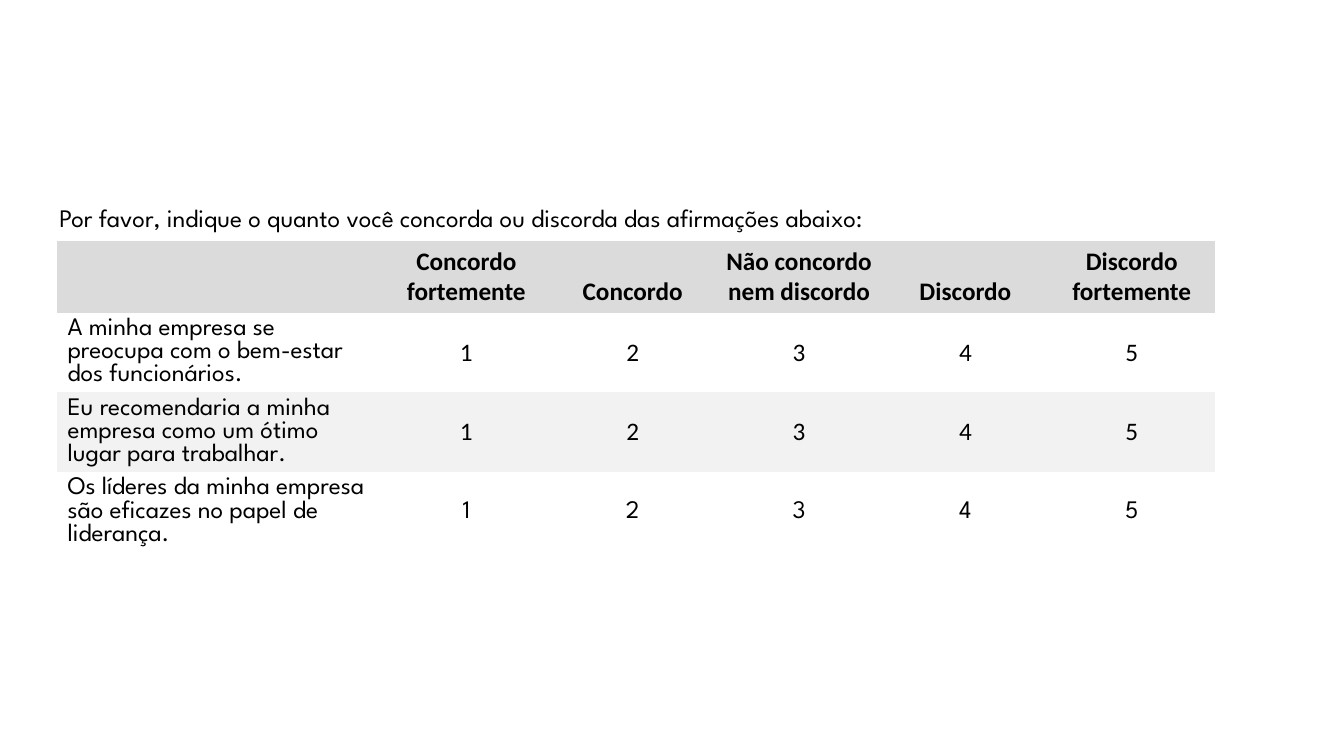
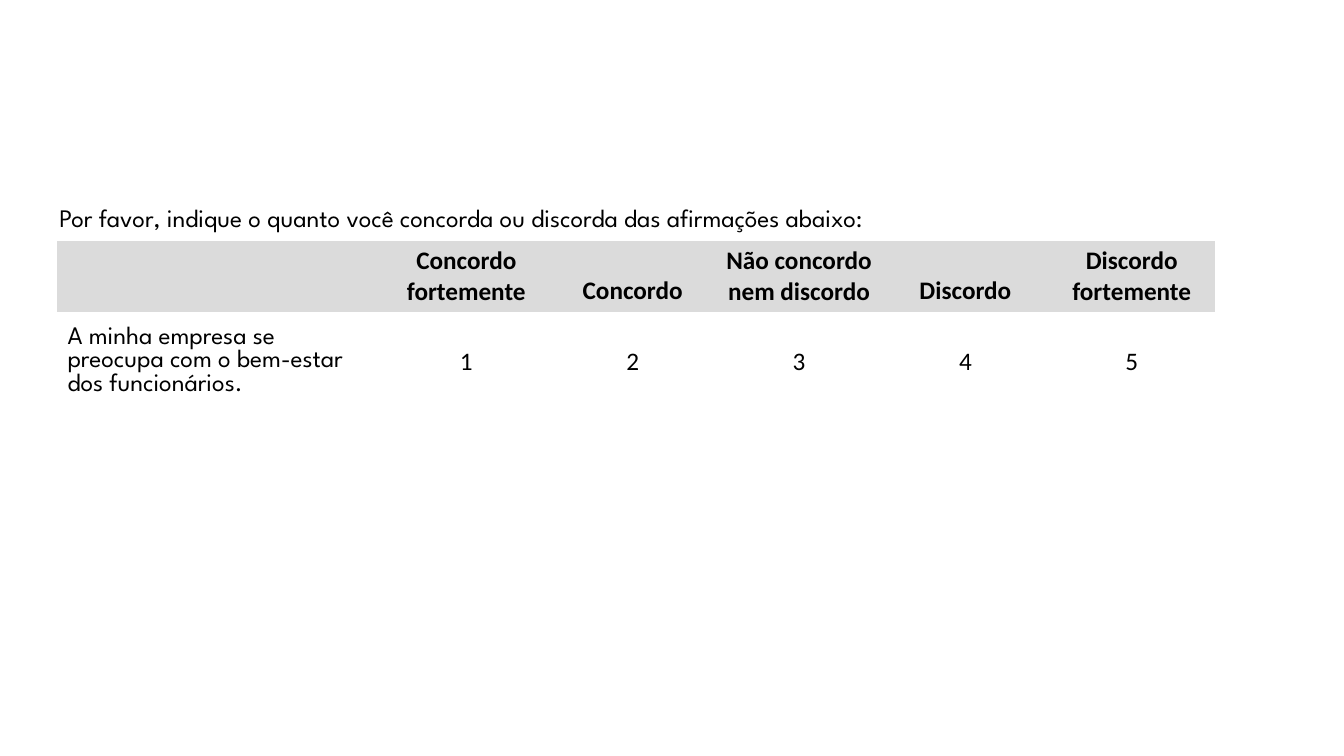
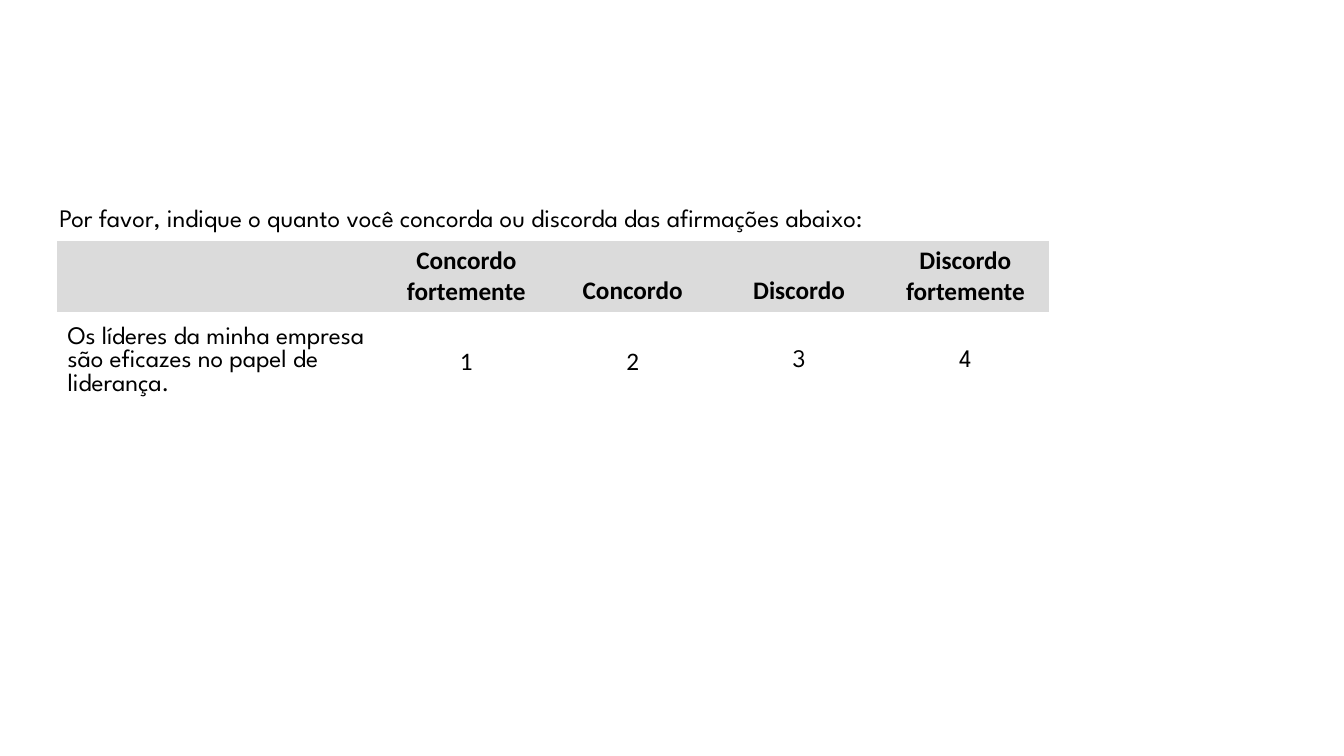
from pptx import Presentation, util as u
from pptx.dml.color import RGBColor
from pptx.enum import text

# Shared look
HEAD, BAND, WHITE, BLACK = "DBDBDB", "F2F2F2", "FFFFFF", "000000"
SANS, DISPLAY = "Calibri", "League Spartan"
NO_GRID = "{2D5ABB26-0587-4C30-8999-92F81FD0307C}"
LEFT, TOP = 0.57, 2.39
LABEL_W, SCALE_W, ROW_H = 3.23, 1.65, 0.41
PROMPT = "Por favor, indique o quanto você concorda ou discorda das afirmações abaixo:"

# Scales and statements
FIVE = ["Concordo fortemente", "Concordo", "Não concordo nem discordo",
        "Discordo", "Discordo fortemente"]
FOUR = FIVE[:2] + FIVE[3:]
CARE = "A minha empresa se preocupa com o bem-estar dos funcionários."
RECOMMEND = "Eu recomendaria a minha empresa como um ótimo lugar para trabalhar."
LEADERS = "Os líderes da minha empresa são eficazes no papel de liderança."

# Each slide: scale, then statements with the fonts of their numbers
SLIDES = [
    (FIVE, [(CARE, [SANS] * 5), (RECOMMEND, [SANS] * 5), (LEADERS, [DISPLAY] * 5)]),
    (FIVE, [(CARE, [SANS] * 5)]),
    (FOUR, [(LEADERS, [SANS] * 2 + [DISPLAY] * 2)]),
]


def color(value):
    return RGBColor.from_string(value)


def write(tf, words, font, bold=False, align=text.PP_ALIGN.LEFT):
    p = tf.paragraphs[0]
    p.text = words
    p.alignment = align
    p.font.name, p.font.size, p.font.bold = font, u.Pt(18), bold
    p.font.color.rgb = color(BLACK)


prs = Presentation()
prs.slide_width, prs.slide_height = u.Inches(13.33), u.Inches(7.5)

for scale, statements in SLIDES:
    s = prs.slides.add_slide(prs.slide_layouts[6])

    # Rating table
    rows, cols = len(statements) + 1, len(scale) + 1
    table = s.shapes.add_table(
        rows, cols, u.Inches(LEFT), u.Inches(TOP),
        u.Inches(LABEL_W + SCALE_W * len(scale)), u.Inches(ROW_H * rows)).table
    table._tbl.tblPr[0].text = NO_GRID
    for i, column in enumerate(table.columns):
        column.width = u.Inches(SCALE_W if i else LABEL_W)

    # Fills: header, then alternating bands
    for i in range(rows):
        for cell in table.rows[i].cells:
            cell.fill.solid()
            cell.fill.fore_color.rgb = color(HEAD if i == 0 else WHITE if i % 2 else BAND)
            cell.vertical_anchor = text.MSO_ANCHOR.MIDDLE if i else text.MSO_ANCHOR.BOTTOM

    # Header labels
    for j, label in enumerate(scale, 1):
        write(table.cell(0, j).text_frame, label, SANS, True, text.PP_ALIGN.CENTER)

    # Statements and their numbers
    for i, (statement, fonts) in enumerate(statements, 1):
        write(table.cell(i, 0).text_frame, statement, DISPLAY)
        for j, font in enumerate(fonts, 1):
            write(table.cell(i, j).text_frame, str(j), font, align=text.PP_ALIGN.CENTER)

    # Prompt above the table
    tf = s.shapes.add_textbox(u.Inches(0.49), u.Inches(1.96),
                              u.Inches(8.93), u.Inches(0.4)).text_frame
    tf.word_wrap = False
    tf.auto_size = text.MSO_AUTO_SIZE.SHAPE_TO_FIT_TEXT
    write(tf, PROMPT, DISPLAY)

prs.save("out.pptx")
